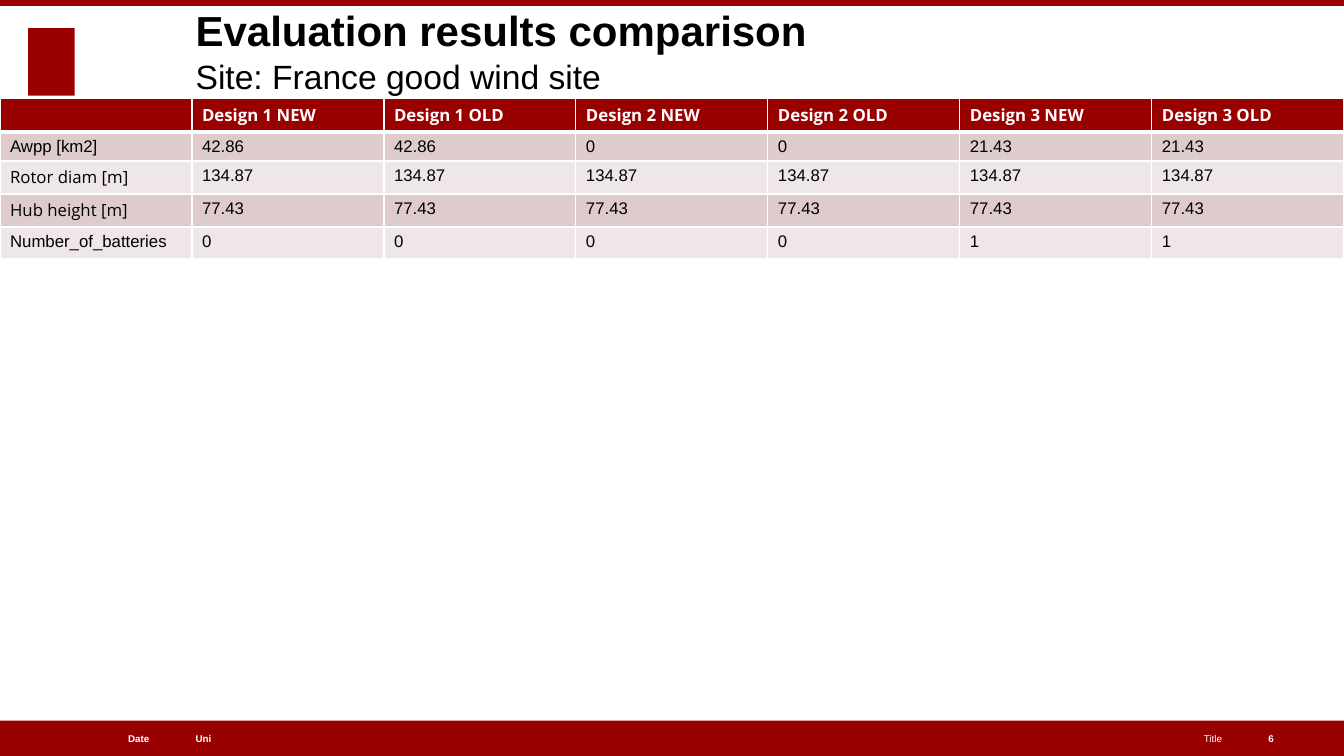
"""Build the slide that compares old and new evaluation results for a French wind site."""
from lxml import etree
from pptx import Presentation
from pptx.dml.color import RGBColor
from pptx.enum.shapes import MSO_SHAPE
from pptx.enum.text import MSO_ANCHOR, MSO_AUTO_SIZE, PP_ALIGN
from pptx.oxml.ns import qn
from pptx.util import Inches, Pt

RED, WHITE, BLACK = "990000", "FFFFFF", "000000"
BANDS = ("DECCCC", "EFE7E7")
WIDTH, FOOTER_TOP, FOOTER_HEIGHT = 13.33, 7.15, 0.35


def color(hex_code):
    return RGBColor.from_string(hex_code)


class ResultsSlide:
    def __init__(self, slide):
        self.slide = slide
        self.font = "Arial"

    def style(self, paragraph, size, hex_code, bold=False, font=None):
        for run in paragraph.runs:
            run.font.name = font or self.font
            run.font.size = Pt(size)
            run.font.bold = bold
            run.font.color.rgb = color(hex_code)

    def frame(self, text_frame, anchor):
        text_frame.word_wrap = True
        text_frame.auto_size = MSO_AUTO_SIZE.NONE
        text_frame.vertical_anchor = anchor
        text_frame.margin_left = text_frame.margin_right = 0
        text_frame.margin_top = text_frame.margin_bottom = 0

    def block(self, left, top, width, height):
        block = self.slide.shapes.add_shape(
            MSO_SHAPE.RECTANGLE, Inches(left), Inches(top), Inches(width), Inches(height))
        block.shadow.inherit = False
        block.fill.solid()
        block.fill.fore_color.rgb = color(RED)
        block.line.fill.background()

    def title(self, heading, site):
        title = self.slide.shapes.title
        title.left, title.top = Inches(1.94), Inches(-0.11)
        title.width, title.height = Inches(10.18), Inches(1.06)
        self.frame(title.text_frame, MSO_ANCHOR.BOTTOM)
        title.text_frame.text = f"{heading}\n{site}"
        heading_line, site_line = title.text_frame.paragraphs
        heading_line.alignment = site_line.alignment = PP_ALIGN.LEFT
        self.style(heading_line, 30, BLACK, bold=True)
        self.style(site_line, 24, BLACK)

    def footer(self, text, left, width, align=PP_ALIGN.LEFT, bold=True):
        footer = self.slide.shapes.add_textbox(
            Inches(left), Inches(FOOTER_TOP), Inches(width), Inches(FOOTER_HEIGHT))
        self.frame(footer.text_frame, MSO_ANCHOR.MIDDLE)
        footer.text_frame.text = text
        paragraph = footer.text_frame.paragraphs[0]
        paragraph.alignment = align
        self.style(paragraph, 7, WHITE, bold)

    def borders(self, cell, top, bottom):
        properties = cell._tc.get_or_add_tcPr()
        for side, points in (("L", 1), ("R", 1), ("T", top), ("B", bottom)):
            edge = etree.SubElement(properties, qn(f"a:ln{side}"), w=str(Pt(points)))
            fill = etree.SubElement(edge, qn("a:solidFill"))
            etree.SubElement(fill, qn("a:srgbClr"), val=WHITE)

    def table(self, top, rows, heights, open_sans_labels):
        table = self.slide.shapes.add_table(
            len(rows), len(rows[0]), 0, Inches(top), Inches(WIDTH), Inches(sum(heights))).table
        for column in table.columns:
            column.width = Inches(WIDTH / len(rows[0]))
        for r, (values, height) in enumerate(zip(rows, heights)):
            table.rows[r].height = Inches(height)
            header = r == 0
            for c, value in enumerate(values):
                cell = table.cell(r, c)
                self.borders(cell, top=3 if r == 1 else 1, bottom=3 if header else 1)
                cell.fill.solid()
                cell.fill.fore_color.rgb = color(RED if header else BANDS[(r - 1) % 2])
                cell.text_frame.text = value
                paragraph = cell.text_frame.paragraphs[0]
                paragraph._p.get_or_add_endParaRPr().set("sz", "1200")
                font = "Open Sans" if header or value in open_sans_labels else None
                self.style(paragraph, 12, WHITE if header else BLACK, header, font)


presentation = Presentation()
presentation.slide_width, presentation.slide_height = Inches(WIDTH), Inches(7.5)
results = ResultsSlide(presentation.slides.add_slide(presentation.slide_layouts[5]))

results.block(0.28, 0.28, 0.46, 0.67)
results.block(0, FOOTER_TOP, WIDTH, FOOTER_HEIGHT)
results.block(0, 0, WIDTH, 0.06)

results.title("Evaluation results comparison", "Site: France good wind site")

results.footer("Uni", 1.94, 3.72)
results.footer("Date", 0.27, 1.21, PP_ALIGN.RIGHT)
results.footer("Title", 6.11, 6.01, PP_ALIGN.RIGHT, bold=False)
results.footer("6", 12.58, 0.47)

designs = [f"Design {number} {version}" for number in (1, 2, 3) for version in ("NEW", "OLD")]
evaluation = [
    ["", *designs],
    ["Awpp [km2]", "42.86", "42.86", "0", "0", "21.43", "21.43"],
    ["Rotor diam [m]", *["134.87"] * len(designs)],
    ["Hub height [m]", *["77.43"] * len(designs)],
    ["Number_of_batteries", "0", "0", "0", "0", "1", "1"],
]
results.table(0.98, evaluation, (0.25, 0.29, 0.3, 0.31, 0.31),
              open_sans_labels=("Rotor diam [m]", "Hub height [m]"))

presentation.save("out.pptx")
